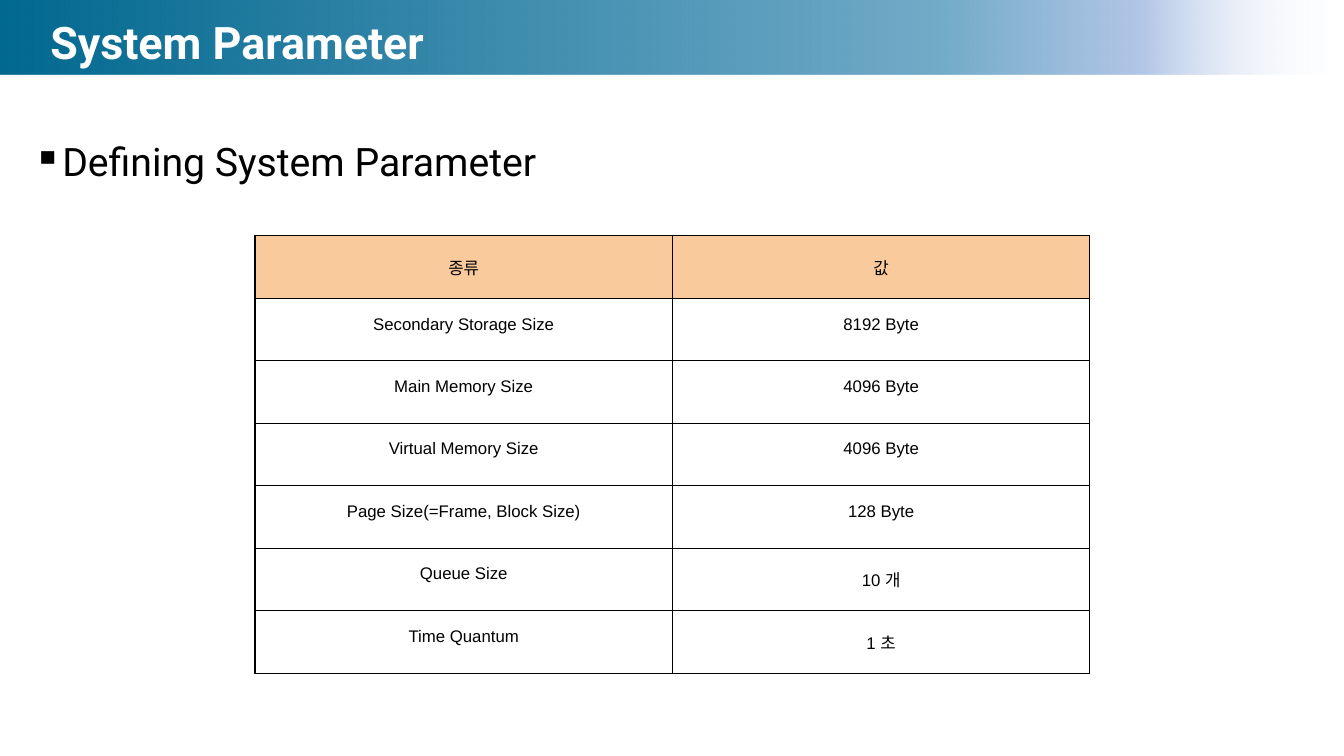
from lxml.etree import SubElement
from pptx import Presentation
from pptx.dml.color import RGBColor
from pptx.enum.shapes import MSO_SHAPE as Shape
from pptx.enum.text import MSO_ANCHOR as Anchor, PP_ALIGN as Align
from pptx.oxml.ns import qn
from pptx.util import Inches, Pt

WIDTH, HEIGHT = 13.33, 7.5
COLORS = {"ink": "000000", "paper": "FFFFFF", "header": "F9CB9C"}
BANNER_STOPS = [(0, "01688F", 100), (70, "72ABC8", 100),
                (85, "B3C6E7", 100), (100, "FFFFFF", 0)]
PARAMETERS = [
    ("종류", "값"),
    ("Secondary Storage Size", "8192 Byte"),
    ("Main Memory Size", "4096 Byte"),
    ("Virtual Memory Size", "4096 Byte"),
    ("Page Size(=Frame, Block Size)", "128 Byte"),
    ("Queue Size", "10 개"),
    ("Time Quantum", "1 초"),
]


def write(frame, text, size, font="Roboto", color="ink", bold=False,
          align=Align.LEFT, spacing=0.9, bullet=None):
    """Fill a text frame with one formatted paragraph."""
    frame.word_wrap = True
    para = frame.paragraphs[0]
    para.alignment, para.line_spacing = align, spacing
    if bullet:
        props = para._p.get_or_add_pPr()
        props.set("marL", str(Inches(0.25)))
        props.set("indent", str(Inches(-0.25)))
        tint = SubElement(props, qn("a:buClr"))
        SubElement(tint, qn("a:srgbClr"), val=COLORS[color])
        SubElement(props, qn("a:buChar"), char=bullet)
    span = para.add_run()
    span.text = text
    span.font.name, span.font.size, span.font.bold = font, Pt(size), bold
    span.font.color.rgb = RGBColor.from_string(COLORS[color])


def add_text(page, box, text, size, anchor=Anchor.TOP, **style):
    """Place a text box holding one paragraph."""
    frame = page.shapes.add_textbox(*map(Inches, box)).text_frame
    frame.vertical_anchor = anchor
    write(frame, text, size, **style)


def add_banner(page, box, title):
    """Draw the fading band across the top with the title on it."""
    left, top, width, height = box
    band = page.shapes.add_shape(Shape.RECTANGLE, *map(Inches, box))
    band.shadow.inherit = False
    band.line.fill.background()
    band.fill.gradient()
    band.fill.gradient_angle = 0
    stops = band._element.spPr.find(qn("a:gradFill")).find(qn("a:gsLst"))
    stops.clear()
    for position, color, opacity in BANNER_STOPS:
        stop = SubElement(stops, qn("a:gs"), pos=str(position * 1000))
        tint = SubElement(stop, qn("a:srgbClr"), val=color)
        if opacity < 100:
            SubElement(tint, qn("a:alpha"), val=str(opacity * 1000))
    title_box = (left + width * 0.03, top + 0.16, width * 0.94, height - 0.16)
    add_text(page, title_box, title, 32, Anchor.MIDDLE, color="paper", bold=True)


def add_borders(cell):
    """Draw a thin line on all four sides of a cell."""
    props = cell._tc.get_or_add_tcPr()
    for index, side in enumerate(("a:lnL", "a:lnR", "a:lnT", "a:lnB")):
        line = props.makeelement(qn(side), w=str(Pt(1)))
        fill = SubElement(line, qn("a:solidFill"))
        SubElement(fill, qn("a:srgbClr"), val=COLORS["ink"])
        props.insert(index, line)


def add_parameter_table(page, box, rows):
    """Place the table of parameters, with a tinted header row."""
    table = page.shapes.add_table(len(rows), len(rows[0]), *map(Inches, box)).table
    for row_index, row in enumerate(rows):
        for column_index, text in enumerate(row):
            cell = table.cell(row_index, column_index)
            cell.margin_left = cell.margin_right = Inches(0.07)
            cell.margin_top = cell.margin_bottom = Inches(0.07)
            if row_index == 0:
                cell.fill.solid()
                cell.fill.fore_color.rgb = RGBColor.from_string(COLORS["header"])
            else:
                cell.fill.background()
            add_borders(cell)
            write(cell.text_frame, text, 12, font="Arial",
                  align=Align.CENTER, spacing=1.5)


def main():
    """Build the slide and save it."""
    deck = Presentation()
    deck.slide_width, deck.slide_height = Inches(WIDTH), Inches(HEIGHT)
    page = deck.slides.add_slide(deck.slide_layouts[6])
    add_banner(page, (0, 0, WIDTH, 0.74), "System Parameter")
    add_text(page, (0.23, 1.37, 11.37, 5.47), "Defining System Parameter", 28,
             bullet="▪")
    add_parameter_table(page, (2.53, 2.34, 8.28, 0.62 * len(PARAMETERS)), PARAMETERS)
    deck.save("out.pptx")


if __name__ == "__main__":
    main()
